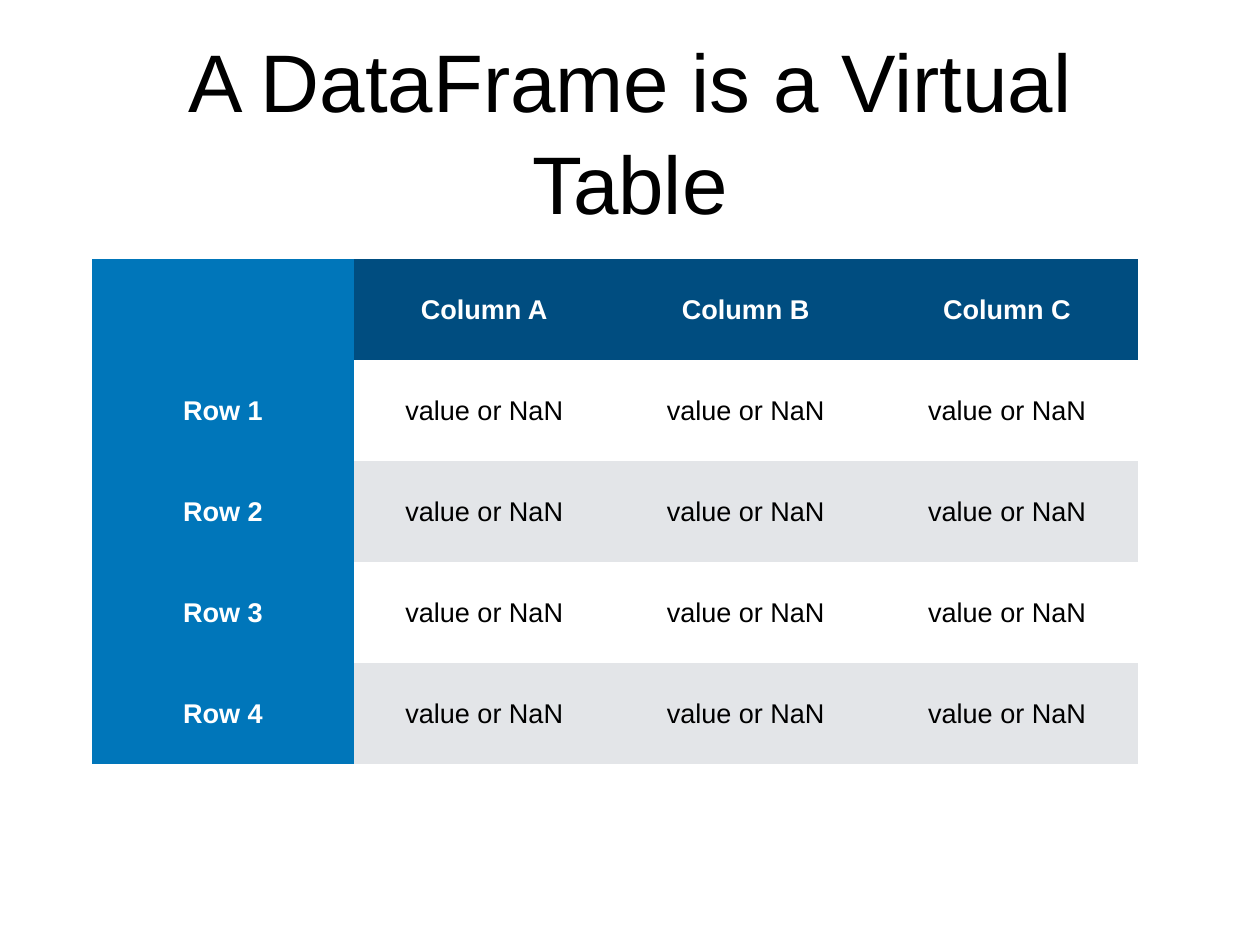
from pptx import Presentation
from pptx.dml.color import RGBColor
from pptx.enum.text import MSO_ANCHOR, MSO_AUTO_SIZE, PP_ALIGN
from pptx.util import Inches, Pt

BLACK = RGBColor(0x00, 0x00, 0x00)
WHITE = RGBColor(0xFF, 0xFF, 0xFF)
NAVY = RGBColor(0x00, 0x4D, 0x80)
BLUE = RGBColor(0x00, 0x76, 0xBA)
GRAY = RGBColor(0xE3, 0xE5, 0xE8)

COLUMNS = ["Column A", "Column B", "Column C"]
ROWS = ["Row 1", "Row 2", "Row 3", "Row 4"]
VALUE = "value or NaN"
COL_WIDTH, ROW_HEIGHT = 2.95, 1.14
INSET = Inches(0.06)


def write(tf, text, size=22, color=BLACK, bold=False, spacing=1.0):
    p = tf.paragraphs[0]
    p.alignment = PP_ALIGN.CENTER
    p.line_spacing = spacing
    r = p.add_run()
    r.text = text
    r.font.name = "Arial"
    r.font.size = Pt(size)
    r.font.bold = bold
    r.font.color.rgb = color


def set_insets(box):
    box.margin_left = box.margin_right = INSET
    box.margin_top = box.margin_bottom = INSET
    box.vertical_anchor = MSO_ANCHOR.MIDDLE


def add_title(s, text):
    title = s.shapes.title
    title.left, title.top = Inches(1.04), Inches(0.28)
    title.width, title.height = Inches(12.14), Inches(2.36)
    tf = title.text_frame
    tf.word_wrap = True
    tf.auto_size = MSO_AUTO_SIZE.NONE
    set_insets(tf)
    write(tf, text, size=66.4, spacing=1.04)


def cell_fill(row, col):
    if col == 0:
        return BLUE
    if row == 0:
        return NAVY
    return WHITE if row % 2 else GRAY


def add_data_table(s, grid):
    n_rows, n_cols = len(grid), len(grid[0])
    table = s.shapes.add_table(
        n_rows, n_cols, Inches(1.04), Inches(2.93),
        Inches(COL_WIDTH * n_cols), Inches(ROW_HEIGHT * n_rows)).table
    table.first_col = True
    for column in table.columns:
        column.width = Inches(COL_WIDTH)
    for i, row in enumerate(grid):
        table.rows[i].height = Inches(ROW_HEIGHT)
        for j, text in enumerate(row):
            cell = table.cell(i, j)
            cell.fill.solid()
            cell.fill.fore_color.rgb = cell_fill(i, j)
            set_insets(cell)
            header = i == 0 or j == 0
            if text:
                write(cell.text_frame, text, bold=header,
                      color=WHITE if header else BLACK)
    # No visible rules between cells
    table_style = table._tbl.tblPr.find("{*}tableStyleId")
    table_style.text = "{2D5ABB26-0587-4C30-8999-92F81FD0307C}"


def main():
    prs = Presentation()
    prs.slide_width, prs.slide_height = Inches(14.22), Inches(10.67)
    s = prs.slides.add_slide(prs.slide_layouts[5])

    # Title
    add_title(s, "A DataFrame is a Virtual Table")

    # Table: column headers, then one labelled row per record
    grid = [[""] + COLUMNS]
    grid += [[label] + [VALUE] * len(COLUMNS) for label in ROWS]
    add_data_table(s, grid)

    prs.save("out.pptx")


if __name__ == "__main__":
    main()
